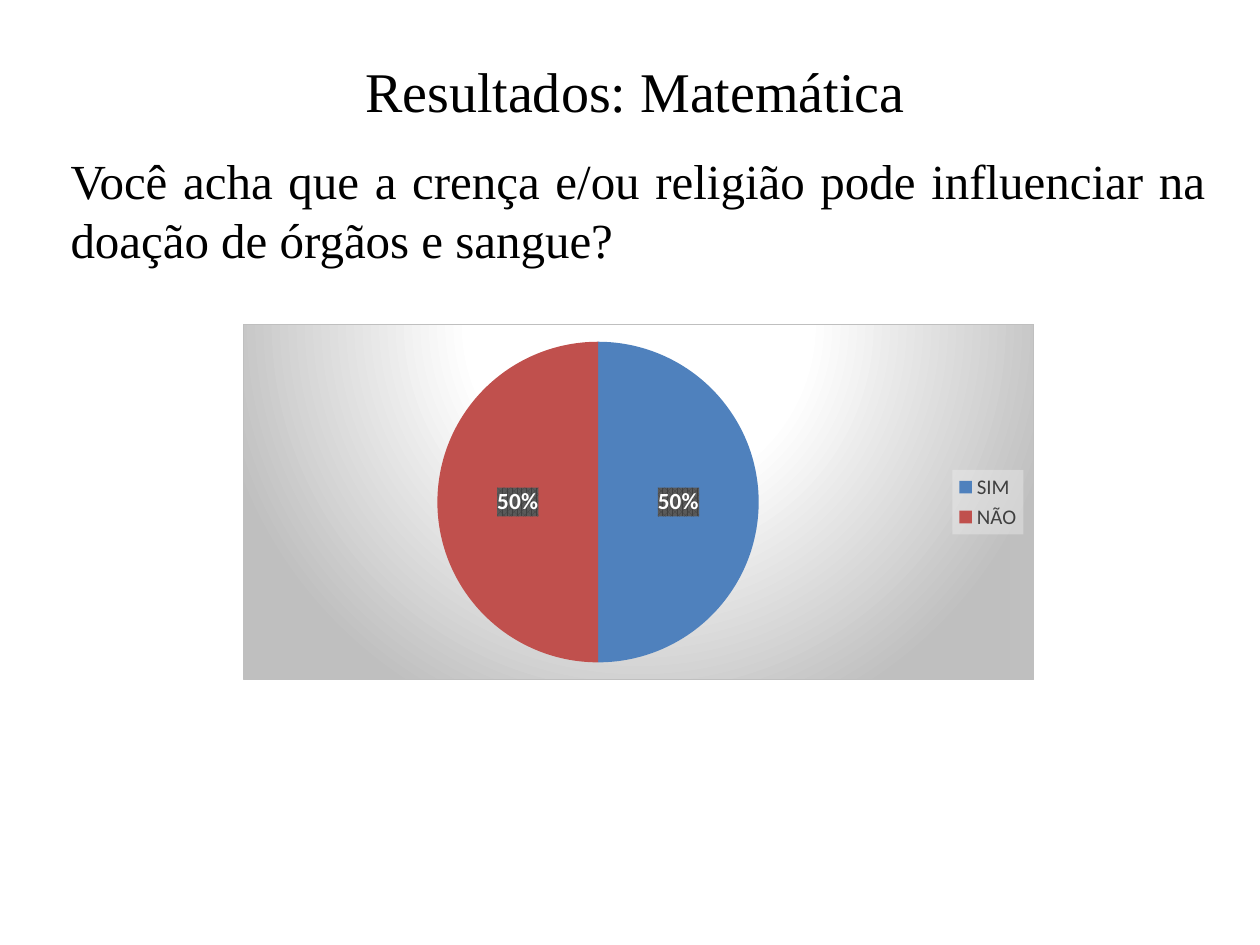
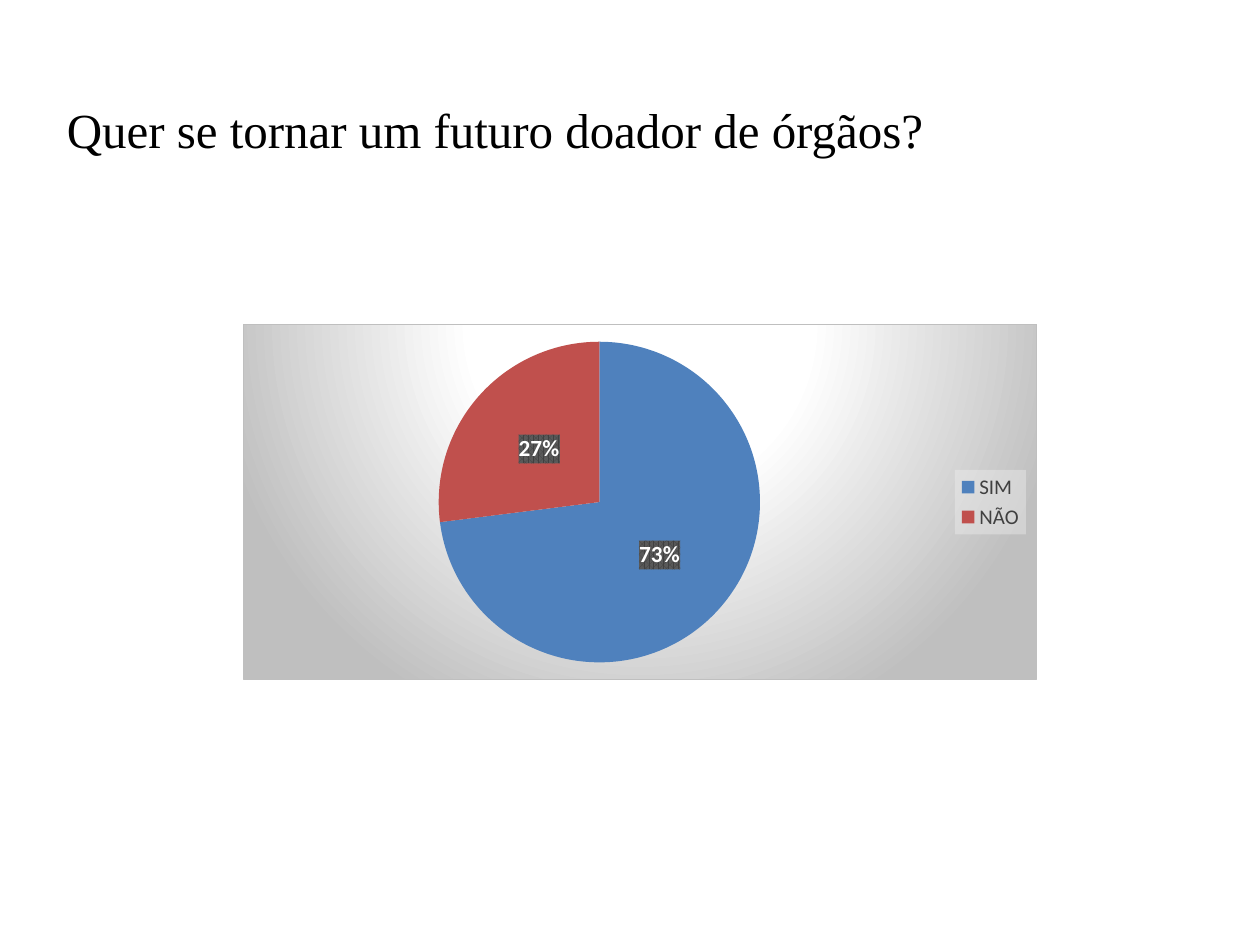
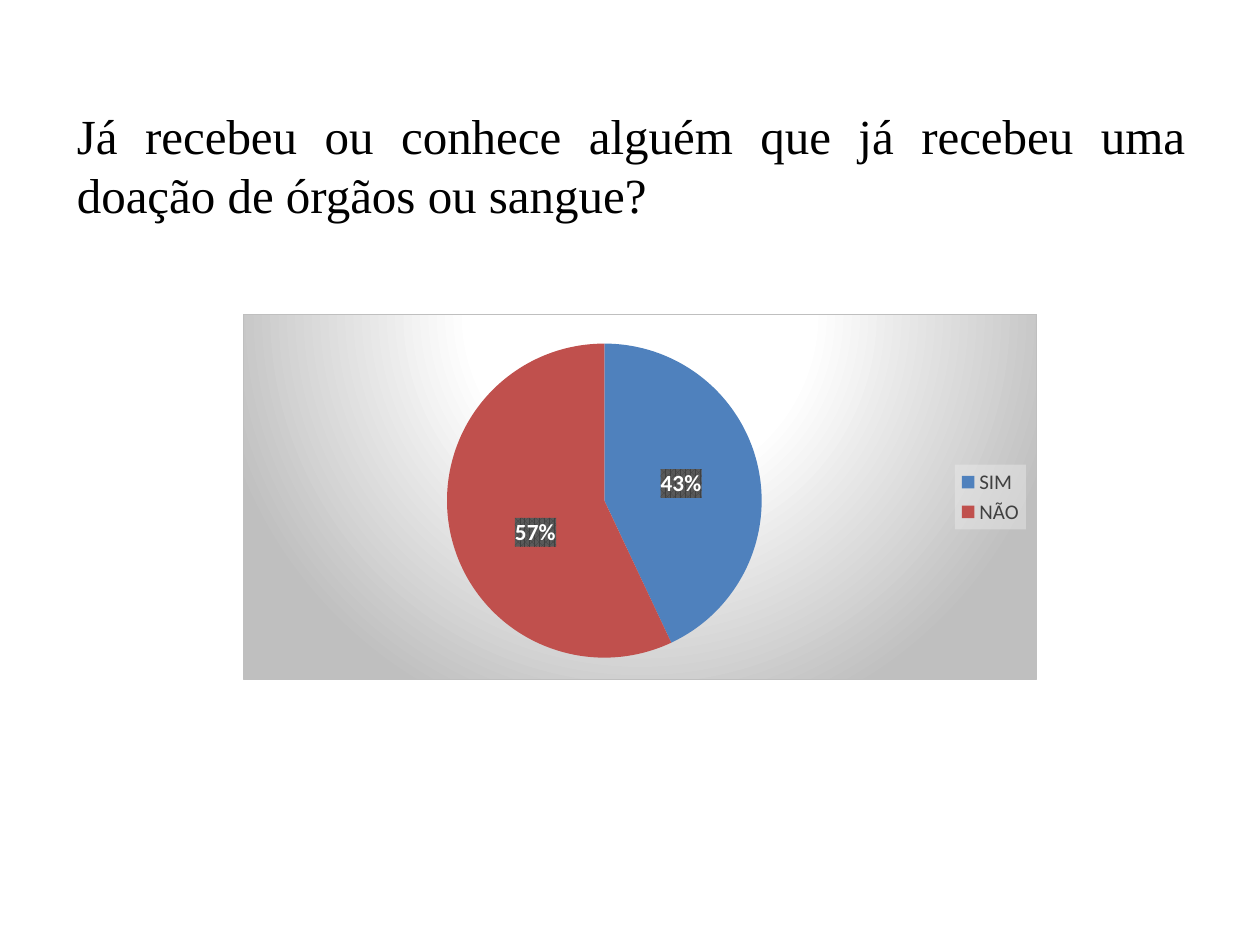
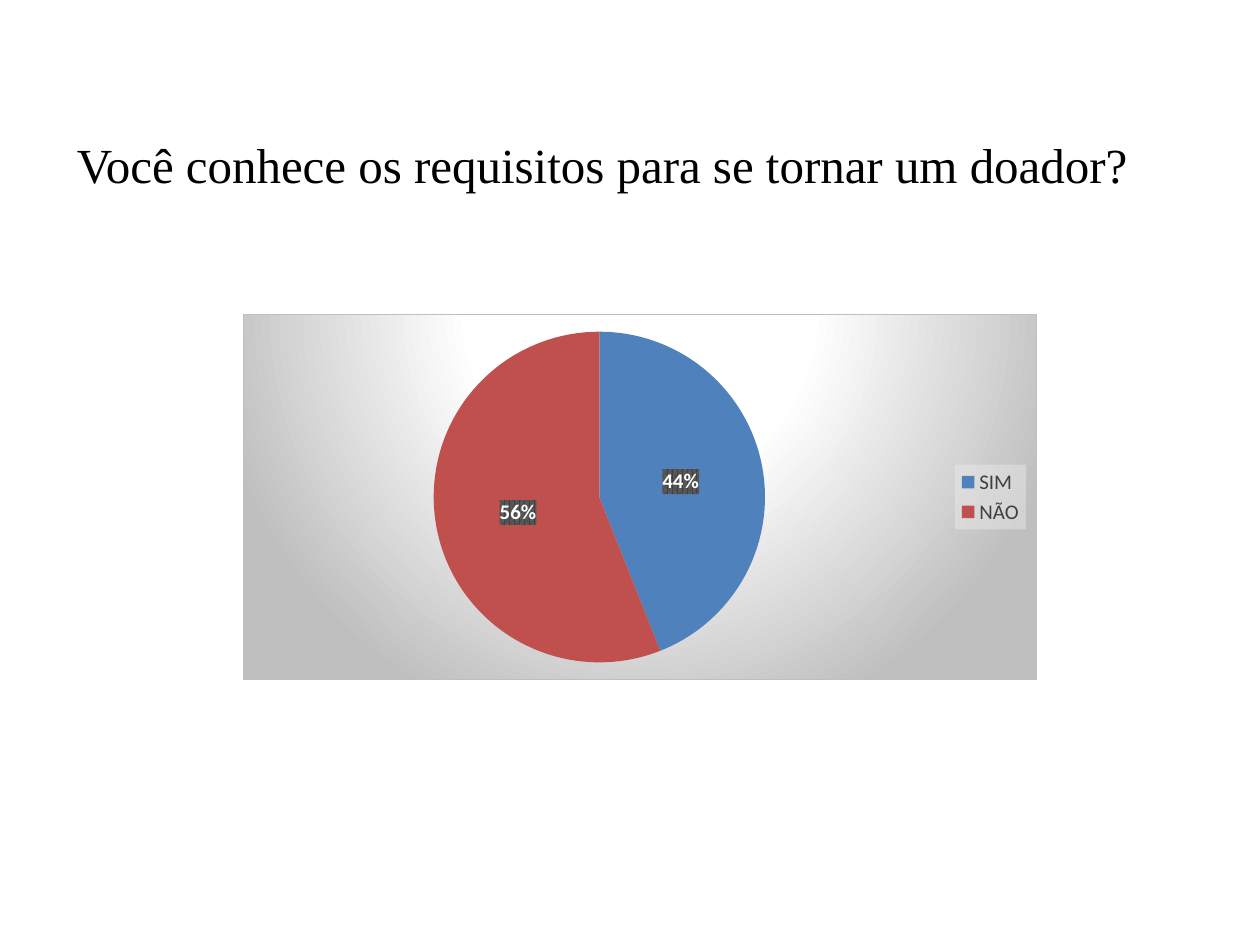
"""Builds four slides of survey results on organ and blood donation."""
from copy import deepcopy
from lxml import etree
from pptx import Presentation
from pptx.chart.data import CategoryChartData
from pptx.dml.color import RGBColor
from pptx.enum.chart import XL_CHART_TYPE, XL_LABEL_POSITION, XL_LEGEND_POSITION
from pptx.enum.text import MSO_ANCHOR, PP_ALIGN
from pptx.oxml.ns import nsdecls, qn
from pptx.util import Pt

PIE = XL_CHART_TYPE.PIE
MID = XL_LABEL_POSITION.CENTER
RIGHT = XL_LEGEND_POSITION.RIGHT
LEFT, JUST = PP_ALIGN.LEFT, PP_ALIGN.JUSTIFY
PX = 9144
HUES = {"ink": "000000", "yes": "4F81BD", "no": "C0504D", "text": "404040",
        "white": "FFFFFF", "edge": "BFBFBF", "pale": "F2F2F2", "dark": "595959"}

SKINS = {
    "chart": """<a:gradFill><a:gsLst>
        <a:gs pos="0"><a:srgbClr val="{white}"/></a:gs>
        <a:gs pos="39000"><a:srgbClr val="{white}"/></a:gs>
        <a:gs pos="100000"><a:srgbClr val="{edge}"/></a:gs></a:gsLst>
        <a:path path="circle"><a:fillToRect l="50000" t="-80000" r="50000" b="180000"/></a:path>
        </a:gradFill><a:ln w="9525"><a:solidFill><a:srgbClr val="{edge}"/></a:solidFill></a:ln>""",
    "overlay": """<a:solidFill><a:srgbClr val="{pale}"><a:alpha val="39000"/></a:srgbClr>
        </a:solidFill><a:ln><a:noFill/></a:ln>""",
    "numFmt": """<a:pattFill prst="pct75"><a:fgClr><a:srgbClr val="{text}"/></a:fgClr>
        <a:bgClr><a:srgbClr val="{dark}"/></a:bgClr></a:pattFill><a:ln><a:noFill/></a:ln>""",
}

SLIDES = [
    {"ask": "Você acha que a crença e/ou religião pode influenciar na doação de órgãos e sangue?",
     "box": (46, 107, 921, 118), "pie": (193, 257, 628, 283), "vals": (50, 50), "size": 13.3},
    {"ask": "Quer se tornar um futuro doador de órgãos?",
     "box": (43, 36, 976, 132), "pie": (193, 257, 630, 283), "vals": (73, 27), "size": 13.3},
    {"ask": "Já recebeu ou conhece alguém que já recebeu uma doação de órgãos ou sangue?",
     "box": (51, 68, 900, 125), "pie": (193, 249, 630, 291), "vals": (43, 57), "size": 13.3,
     "plot": {"x": 0.25, "y": 0.08, "w": 0.41, "h": 0.86}, "shift": {"x": 0.01, "y": 0.04}},
    {"ask": "Você conhece os requisitos para se tornar um doador?",
     "box": (51, 68, 900, 125), "pie": (193, 249, 630, 291), "vals": (44, 56), "size": 12},
]


def write(shape, text, box, size=28, align=JUST, anchor=MSO_ANCHOR.MIDDLE, wrap=True):
    shape.left, shape.top, shape.width, shape.height = [n * PX for n in box]
    frame = shape.text_frame
    frame.word_wrap, frame.vertical_anchor = wrap, anchor
    para = frame.paragraphs[0]
    para.alignment = align
    run = para.add_run()
    run.text = text
    run.font.size, run.font.name = Pt(size), "Times New Roman"
    run.font.color.rgb = RGBColor.from_string(HUES["ink"])


def layout(spots, modes=""):
    tags = "".join(f'<c:{key} val="{val}"/>' for key, val in spots.items())
    return etree.fromstring(f'<c:layout {nsdecls("c")}><c:manualLayout>{modes}{tags}'
                            '</c:manualLayout></c:layout>')


deck = Presentation()
deck.slide_width, deck.slide_height = 1000 * PX, 750 * PX

for item in SLIDES:
    slide = deck.slides.add_slide(deck.slide_layouts[5])
    write(slide.shapes.title, item["ask"], item["box"])

    data = CategoryChartData()
    data.categories = ["SIM", "NÃO"]
    data.add_series("Series 1", item["vals"])
    chart = slide.shapes.add_chart(PIE, *[n * PX for n in item["pie"]], data).chart
    chart.has_title = False
    chart.has_legend = True
    chart.legend.position, chart.legend.include_in_layout = RIGHT, False
    plot = chart.plots[0]
    plot.vary_by_categories = True
    row = plot.series[0]
    for num, hue in enumerate(("yes", "no")):
        fill = row.points[num].format.fill
        fill.solid()
        fill.fore_color.rgb = RGBColor.from_string(HUES[hue])

    marks = row.data_labels
    marks.show_percentage, marks.show_value = True, False
    marks.number_format, marks.number_format_is_linked = "0%", False
    marks.position = MID
    marks.font.bold = True
    for font, size, hue in ((chart.font, 10, "ink"), (chart.legend.font, 12, "text"),
                            (marks.font, item["size"], "white")):
        font.size, font.name = Pt(size), "Calibri"
        font.color.rgb = RGBColor.from_string(HUES[hue])

    root = chart.element
    for tag, skin in SKINS.items():
        base = root.find(".//" + qn("c:legend")) if tag == "overlay" else root
        base.find(".//" + qn("c:" + tag)).addnext(etree.fromstring(
            f'<c:spPr {nsdecls("c", "a")}>{skin.format(**HUES)}</c:spPr>'))

    if "plot" in item:
        area = root.find(".//" + qn("c:plotArea"))
        for old in area.findall(qn("c:layout")):
            area.remove(old)
        area.insert(0, layout(item["plot"], '<c:layoutTarget val="inner"/>'
                              '<c:xMode val="edge"/><c:yMode val="edge"/>'))
        group = root.find(".//" + qn("c:dLbls"))
        label = etree.fromstring(f'<c:dLbl {nsdecls("c")}><c:idx val="1"/></c:dLbl>')
        label.append(layout(item["shift"]))
        for part in group:
            if part.tag != qn("c:showLeaderLines"):
                label.append(deepcopy(part))
        group.insert(0, label)

write(deck.slides[0].shapes.add_textbox(0, 0, PX, PX), "Resultados: Matemática",
      (280, 40, 453, 64), size=32, align=LEFT, anchor=MSO_ANCHOR.TOP, wrap=False)

deck.save("out.pptx")
